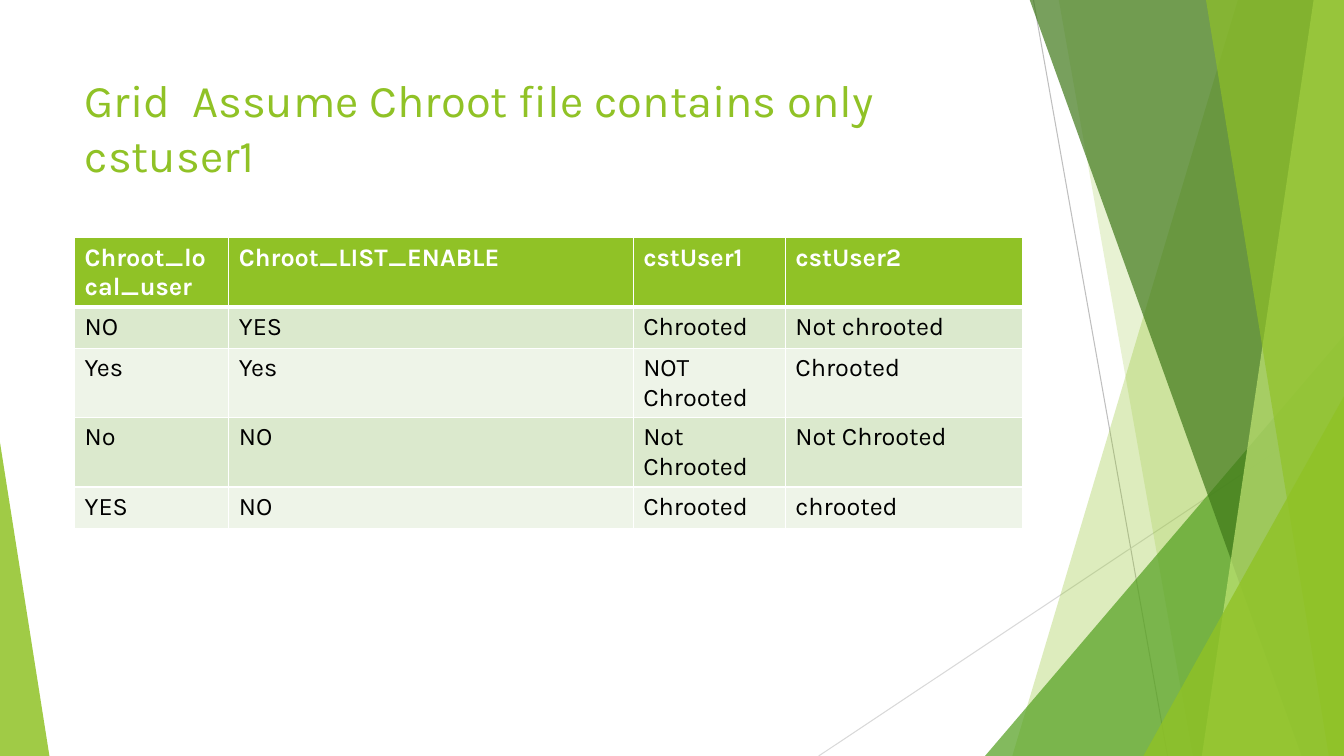
from typing import NamedTuple

from lxml.etree import SubElement
from pptx import Presentation
from pptx.dml.color import RGBColor
from pptx.enum.shapes import MSO_CONNECTOR, MSO_SHAPE
from pptx.enum.text import MSO_ANCHOR, PP_ALIGN
from pptx.oxml.ns import qn
from pptx.util import Inches, Pt

FONT = "Karla"
WIDTH, HEIGHT = 13.33, 7.5
BAND_TOP = -0.01
COLORS = {
    "lime": "90C226", "green": "54A021", "forest": "3F7819", "pale": "C0E474",
    "grey": "BFBFBF", "light_grey": "D9D9D9", "white": "FFFFFF", "black": "000000",
    "odd_row": "DBE9CD", "even_row": "EEF4E8",
}


class Ray(NamedTuple):
    """A thin straight line across the decoration."""
    x1: float
    y1: float
    x2: float
    y2: float
    color: str


class Band(NamedTuple):
    """A full-height band with a slanted left edge, reaching the right edge."""
    top_x: float
    bottom_x: float
    color: str
    alpha: int


class Wedge(NamedTuple):
    """A right triangle standing on the bottom edge of the slide."""
    x: float
    y: float
    width: float
    apex: float
    color: str
    alpha: int


RAYS = [
    Ray(10.25, 0, 11.58, HEIGHT, "grey"),
    Ray(WIDTH, 4.03, 8.12, HEIGHT, "light_grey"),
]
PANELS = [
    Band(12.28, 10.04, "lime", 30),
    Band(10.5, 11.83, "lime", 20),
    Wedge(9.77, 3.33, 3.56, 1, "green", 72),
    Band(10.21, 12.91, "forest", 70),
    Band(13.03, 11.92, "pale", 70),
    Band(11.96, 13.18, "lime", 65),
    Wedge(11.34, 3.93, 1.99, 1, "lime", 80),
    Wedge(0, 4.39, 0.49, 0, "lime", 85),
]
COL_WIDTHS = [1.53, 4.01, 1.51, 2.35]
ROW_HEIGHT = 0.41
ROWS = [
    ["Chroot_local_user", "Chroot_LIST_ENABLE", "cstUser1", "cstUser2"],
    ["NO", "YES", "Chrooted", "Not chrooted"],
    ["Yes", "Yes", "NOT Chrooted", "Chrooted"],
    ["No", "NO", "Not Chrooted", "Not Chrooted"],
    ["YES", "NO", "Chrooted", "chrooted"],
]


def rgb(name: str) -> RGBColor:
    """Return the named colour."""
    return RGBColor.from_string(COLORS[name])


def format_text(p, size: float, color: str, bold: bool = False) -> None:
    """Format every run of a left-aligned paragraph."""
    p.alignment = PP_ALIGN.LEFT
    for r in p.runs:
        r.font.name = FONT
        r.font.size = Pt(size)
        r.font.bold = bold
        r.font.color.rgb = rgb(color)


def add_ray(s, ray: Ray) -> None:
    """Draw one thin line."""
    ends = [Inches(v) for v in ray[:4]]
    sp = s.shapes.add_connector(MSO_CONNECTOR.STRAIGHT, *ends)
    sp.line.color.rgb = rgb(ray.color)
    sp.line.width = Pt(0.75)
    SubElement(sp._element.spPr, qn("a:effectLst"))


def add_panel(s, panel: Band | Wedge) -> None:
    """Draw one translucent band or wedge."""
    if isinstance(panel, Band):
        corners = [(panel.top_x, BAND_TOP), (WIDTH, BAND_TOP),
                   (WIDTH, HEIGHT), (panel.bottom_x, HEIGHT)]
        points = [(Inches(x), Inches(y)) for x, y in corners]
        builder = s.shapes.build_freeform(*points[0])
        builder.add_line_segments(points[1:], close=True)
        sp = builder.convert_to_shape()
    else:
        sp = s.shapes.add_shape(
            MSO_SHAPE.ISOSCELES_TRIANGLE, Inches(panel.x), Inches(panel.y),
            Inches(panel.width), Inches(HEIGHT - panel.y))
        sp.adjustments[0] = panel.apex
    sp.shadow.inherit = False
    sp.line.fill.background()
    sp.fill.solid()
    sp.fill.fore_color.rgb = rgb(panel.color)
    color = sp._element.spPr.find(qn("a:solidFill"))[0]
    SubElement(color, qn("a:alpha"), val=str(panel.alpha * 1000))


def add_borders(cell, row: int) -> None:
    """Give a cell white borders, thick between the header and the body."""
    tc_pr = cell._tc.get_or_add_tcPr()
    thick = {0: "lnB", 1: "lnT"}.get(row)
    for side in ("lnL", "lnR", "lnT", "lnB"):
        width = Pt(3 if side == thick else 1)
        ln = SubElement(tc_pr, qn(f"a:{side}"), w=str(width))
        fill = SubElement(ln, qn("a:solidFill"))
        SubElement(fill, qn("a:srgbClr"), val=COLORS["white"])


def add_grid(s) -> None:
    """Add the table of chroot settings."""
    table = s.shapes.add_table(
        len(ROWS), len(COL_WIDTHS), Inches(0.74), Inches(2.36),
        Inches(sum(COL_WIDTHS)), Inches(ROW_HEIGHT * len(ROWS))).table
    for column, width in zip(table.columns, COL_WIDTHS):
        column.width = Inches(width)
    for i, row in enumerate(ROWS):
        header = i == 0
        fill = "lime" if header else "odd_row" if i % 2 else "even_row"
        for j, text in enumerate(row):
            cell = table.cell(i, j)
            add_borders(cell, i)
            cell.fill.solid()
            cell.fill.fore_color.rgb = rgb(fill)
            cell.text_frame.text = text
            format_text(cell.text_frame.paragraphs[0], 18,
                        "white" if header else "black", header)


def add_title(s) -> None:
    """Place and format the title."""
    sp = s.shapes.title
    sp.left, sp.top = Inches(0.74), Inches(0.67)
    sp.width, sp.height = Inches(9.4), Inches(1.44)
    tf = sp.text_frame
    tf.text = "Grid  Assume Chroot file contains only cstuser1"
    tf.word_wrap = True
    tf.vertical_anchor = MSO_ANCHOR.TOP
    format_text(tf.paragraphs[0], 32.4, "lime")


def main() -> None:
    """Build and save the slide."""
    prs = Presentation()
    prs.slide_width, prs.slide_height = Inches(WIDTH), Inches(HEIGHT)
    s = prs.slides.add_slide(prs.slide_layouts[5])
    for ray in RAYS:
        add_ray(s, ray)
    for panel in PANELS:
        add_panel(s, panel)
    add_title(s)
    add_grid(s)
    prs.save("out.pptx")


if __name__ == "__main__":
    main()
